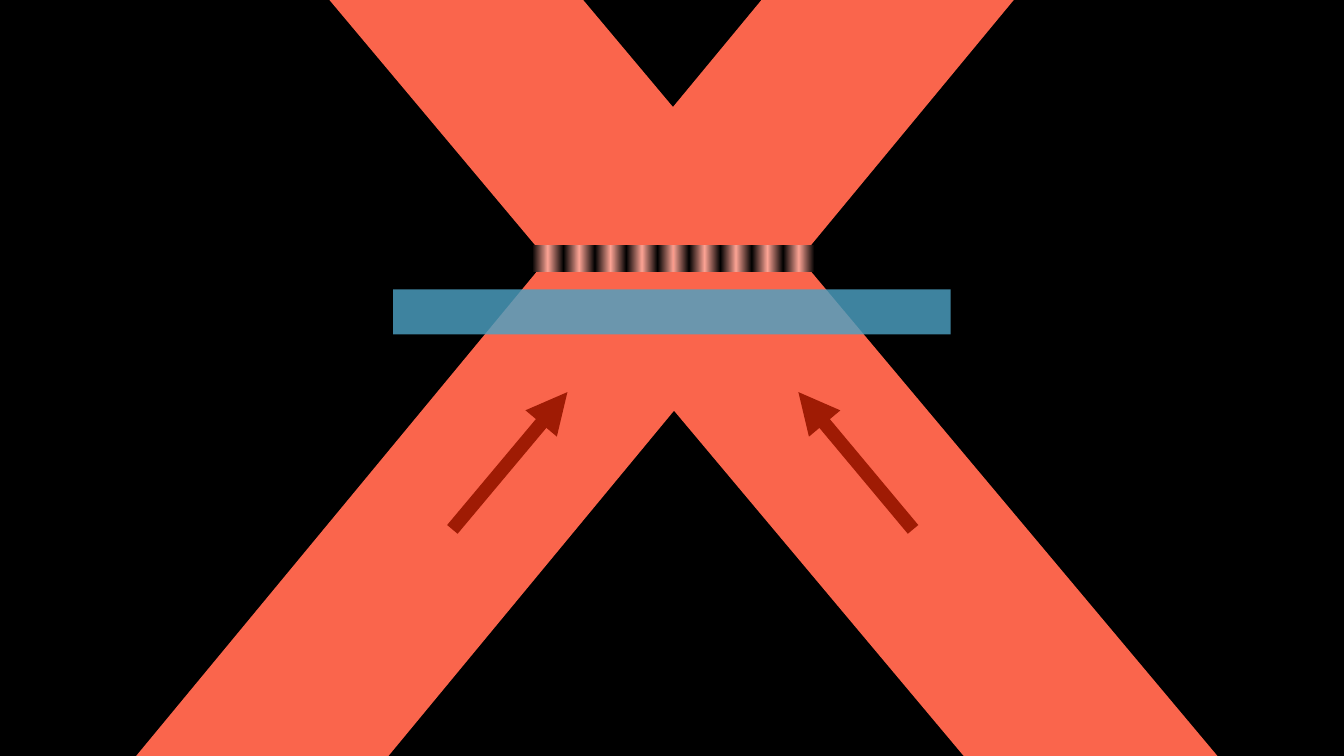
from dataclasses import dataclass

import lxml.etree
import pptx
import pptx.dml.color
import pptx.enum.shapes
import pptx.oxml.ns
import pptx.util
from pptx.util import Cm


@dataclass(frozen=True)
class Theme:
    """Colours and line weights of the slide."""

    background: str = "000000"
    beam: str = "FA654C"
    arrow: str = "9F1B04"
    bright_fringe: str = "FCA394"
    dark_fringe: str = "000000"
    plate: str = "4CA1C3"
    plate_opacity: int = 82
    arrow_width: float = 9.75


THEME = Theme()
FRINGE_STOPS = 10


def rgb(colour):
    """Return a colour object for a hex string."""
    return pptx.dml.color.RGBColor.from_string(colour)


def find_child(parent, tag):
    """Return the first descendant with the given tag."""
    return parent.find(".//" + pptx.oxml.ns.qn(tag))


def add_child(parent, tag, **attributes):
    """Append a DrawingML element with the given attributes."""
    child = lxml.etree.SubElement(parent, pptx.oxml.ns.qn(tag))
    for key, value in attributes.items():
        child.set(key, str(value))
    return child


def add_block(slide, left, top, width, height, rotation=0):
    """Add a borderless rectangle measured in centimetres."""
    block = slide.shapes.add_shape(
        pptx.enum.shapes.MSO_SHAPE.RECTANGLE,
        Cm(left), Cm(top), Cm(width), Cm(height))
    block.rotation = rotation
    block.shadow.inherit = False
    block.line.fill.background()
    return block


def fill_solid(block, colour):
    """Fill a block with one colour."""
    block.fill.solid()
    block.fill.fore_color.rgb = rgb(colour)


def add_beam(slide, left, top, length, rotation):
    """Add a laser beam as a rotated band."""
    beam = add_block(slide, left, top, length, 4.9, rotation)
    fill_solid(beam, THEME.beam)


def add_fringes(slide, left, rotation):
    """Add half of the interference pattern with alternating fringes."""
    fringes = add_block(slide, left, 6.17, 3.56, 0.69, rotation)
    fringes.fill.gradient()
    fringes.fill.gradient_angle = 0
    stops = find_child(fringes.element.spPr, "a:gsLst")
    for stop in list(stops):
        stops.remove(stop)
    for index in range(FRINGE_STOPS):
        position = round(100000 * index / (FRINGE_STOPS - 1))
        colour = THEME.dark_fringe if index % 2 else THEME.bright_fringe
        stop = add_child(stops, "a:gs", pos=position)
        add_child(stop, "a:srgbClr", val=colour)


def add_direction_arrow(slide, start_x, end_x):
    """Add an upward arrow showing the direction of a beam."""
    arrow = slide.shapes.add_connector(
        pptx.enum.shapes.MSO_CONNECTOR.STRAIGHT,
        Cm(start_x), Cm(13.34), Cm(end_x), Cm(9.88))
    arrow.line.color.rgb = rgb(THEME.arrow)
    arrow.line.width = pptx.util.Pt(THEME.arrow_width)
    properties = arrow.element.spPr
    add_child(find_child(properties, "a:ln"), "a:tailEnd", type="triangle")
    add_child(properties, "a:effectLst")


def add_plate(slide):
    """Add the translucent plate below the interference pattern."""
    plate = add_block(slide, 9.91, 7.29, 14.05, 1.14)
    fill_solid(plate, THEME.plate)
    colour = find_child(plate.element.spPr, "a:srgbClr")
    add_child(colour, "a:alpha", val=THEME.plate_opacity * 1000)


def main():
    """Build and save the beam interference slide."""
    deck = pptx.Presentation()
    deck.slide_width, deck.slide_height = Cm(33.87), Cm(19.05)
    slide = deck.slides.add_slide(deck.slide_layouts[6])
    slide.background.fill.solid()
    slide.background.fill.fore_color.rgb = rgb(THEME.background)

    add_beam(slide, 4.45, 7.42, 30.66, rotation=50)
    add_beam(slide, -2.29, 8, 32.03, rotation=309.6)
    add_direction_arrow(slide, 11.4, 14.3)
    add_fringes(slide, 16.97, rotation=0)
    add_direction_arrow(slide, 23.01, 20.12)
    add_fringes(slide, 13.41, rotation=180)
    add_plate(slide)
    deck.save("out.pptx")


if __name__ == "__main__":
    main()
